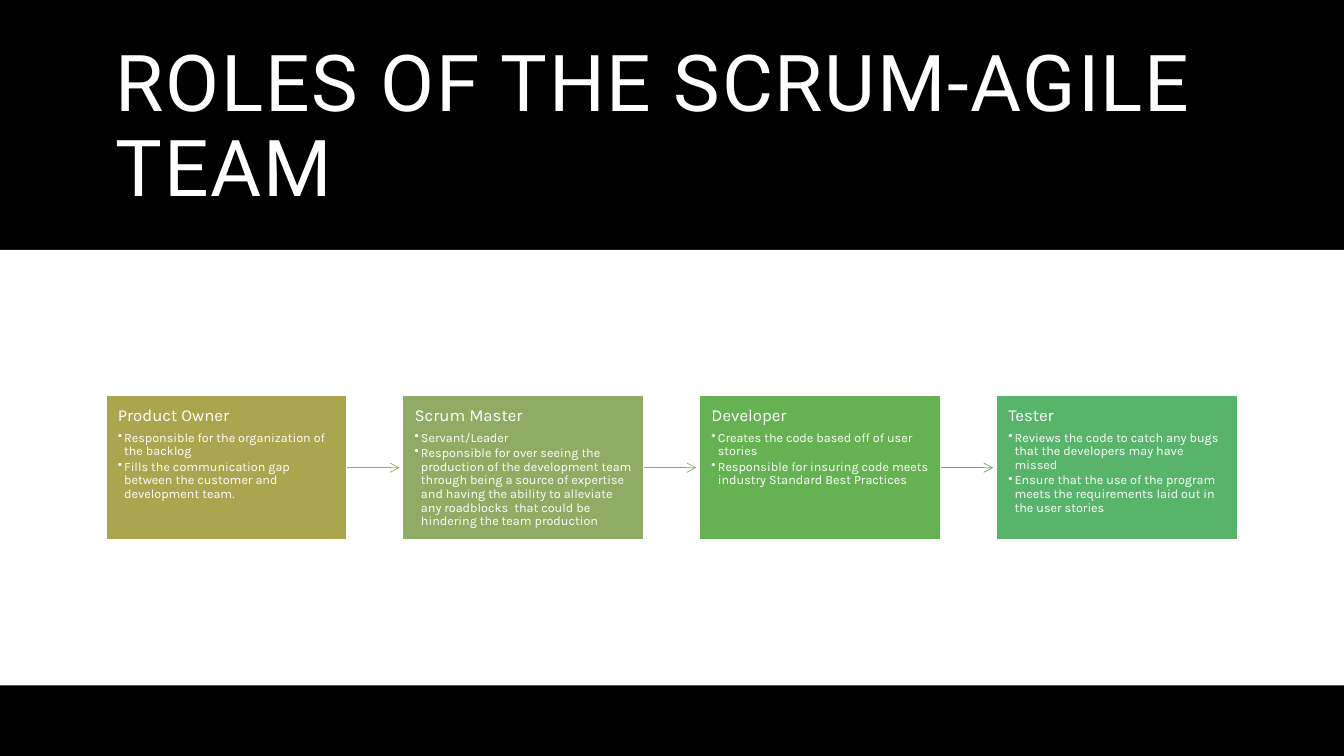
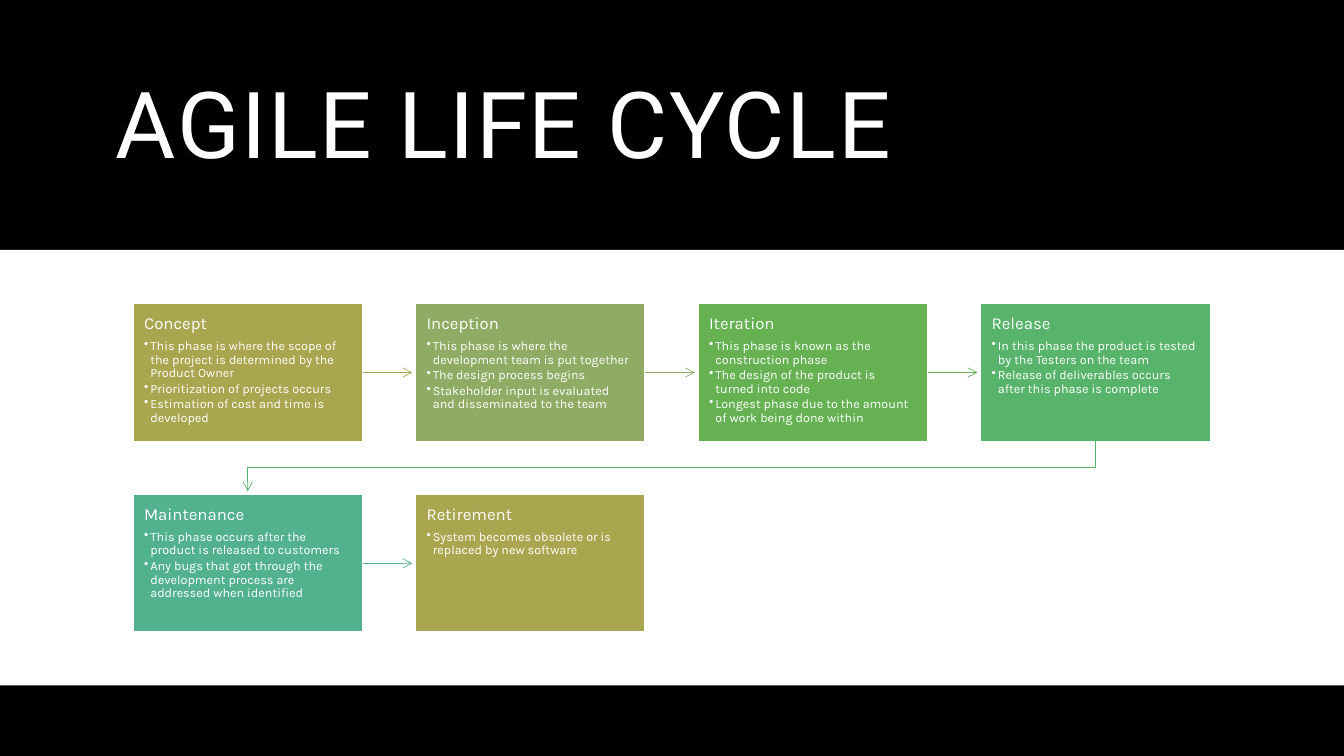
from pptx import Presentation
from pptx.dml.color import RGBColor
from pptx.enum.shapes import MSO_CONNECTOR, MSO_SHAPE
from pptx.enum.text import MSO_ANCHOR, PP_ALIGN
from pptx.oxml.ns import qn
from pptx.oxml.xmlchemy import OxmlElement
from pptx.util import Cm, Pt

COLORS = {"black": "000000", "white": "FFFFFF", "olive": "A9A64F", "sage": "90AB63",
          "green": "66B253", "emerald": "58B46B", "teal": "53B28E"}
STEP_COLORS = ("olive", "sage", "green", "emerald", "teal")
TITLE_FONT, BODY_FONT = "Roboto", "Karla"
PER_ROW = 4
ARROW_GAP = Cm(0.08)

SLIDES = [
    {
        "title": "ROLES OF THE SCRUM-AGILE TEAM",
        "title_size": 56,
        "origin": (2.67, 9.96), "box": (6.08, 3.65), "pitch": (7.48, 0), "side_inset": 0.3,
        "steps": [
            ("Product Owner", [
                "Responsible for the organization of the backlog",
                "Fills the communication gap between the customer and development team."]),
            ("Scrum Master", [
                "Servant/Leader",
                "Responsible for over seeing the production of the development team through "
                "being a source of expertise and having the ability to alleviate any "
                "roadblocks  that could be hindering the team production"]),
            ("Developer", [
                "Creates the code based off of user stories",
                "Responsible for insuring code meets industry Standard Best Practices"]),
            ("Tester", [
                "Reviews the code to catch any bugs that the developers may have missed",
                "Ensure that the use of the program meets the requirements laid out in "
                "the user stories"]),
        ],
    },
    {
        "title": "AGILE LIFE CYCLE",
        "title_size": 66,
        "origin": (3.35, 7.65), "box": (5.79, 3.47), "pitch": (7.12, 4.81), "side_inset": 0.28,
        "steps": [
            ("Concept", [
                "This phase is where the scope of the project is determined by the Product Owner",
                "Prioritization of projects occurs",
                "Estimation of cost and time is developed"]),
            ("Inception", [
                "This phase is where the development team is put together",
                "The design process begins",
                "Stakeholder input is evaluated and disseminated to the team"]),
            ("Iteration", [
                "This phase is known as the construction phase",
                "The design of the product is turned into code",
                "Longest phase due to the amount of work being done within"]),
            ("Release", [
                "In this phase the product is tested by the Testers on the team",
                "Release of deliverables occurs after this phase is complete"]),
            ("Maintenance", [
                "This phase occurs after the product is released to customers",
                "Any bugs that got through the development process are addressed when identified"]),
            ("Retirement", [
                "System becomes obsolete or is replaced by new software"]),
        ],
    },
]


def rgb(name):
    return RGBColor.from_string(COLORS[name])


def add_rectangle(slide, left, top, width, height, color):
    rectangle = slide.shapes.add_shape(MSO_SHAPE.RECTANGLE, left, top, width, height)
    rectangle.shadow.inherit = False
    rectangle.fill.solid()
    rectangle.fill.fore_color.rgb = rgb(color)
    rectangle.line.color.rgb = rgb("white")
    rectangle.line.width = Pt(1)
    return rectangle


def style_paragraph(paragraph, font_name, size, space_after=0):
    paragraph.alignment = PP_ALIGN.LEFT
    paragraph.line_spacing = 0.9
    paragraph.space_after = Pt(space_after)
    paragraph.font.name = font_name
    paragraph.font.size = Pt(size)
    paragraph.font.color.rgb = rgb("white")


def add_bullet(paragraph):
    properties = paragraph._p.get_or_add_pPr()
    properties.set("marL", str(Cm(0.16)))
    properties.set("indent", str(-Cm(0.16)))
    bullet = OxmlElement("a:buChar")
    bullet.set("char", "•")
    properties.insert_element_before(bullet, "a:tabLst", "a:defRPr", "a:extLst")


def add_frame(slide, title, size):
    """Add what every slide shares: the white panel and the title above it."""
    panel = add_rectangle(slide, 0, Cm(6.3), Cm(33.87), Cm(10.97), "white")
    panel.line.fill.background()
    heading = slide.shapes.add_textbox(Cm(2.67), Cm(0.89), Cm(28.52), Cm(4.72)).text_frame
    heading.word_wrap = True
    heading.vertical_anchor = MSO_ANCHOR.MIDDLE
    paragraph = heading.paragraphs[0]
    paragraph.text = title
    style_paragraph(paragraph, TITLE_FONT, size)
    paragraph.runs[0].font._element.set("spc", "120")


def add_step(slide, heading, points, bounds, color, side_inset):
    step = add_rectangle(slide, *bounds, color)
    frame = step.text_frame
    frame.word_wrap = True
    frame.vertical_anchor = MSO_ANCHOR.TOP
    frame.margin_left = frame.margin_right = Cm(side_inset)
    frame.margin_top = frame.margin_bottom = Cm(0.3)
    frame.text = heading
    style_paragraph(frame.paragraphs[0], BODY_FONT, 12, 4.2)
    for point in points:
        paragraph = frame.add_paragraph()
        paragraph.text = point
        style_paragraph(paragraph, BODY_FONT, 9, 1.35)
        add_bullet(paragraph)
    return step


def style_arrow(arrow, color):
    arrow.line.color.rgb = rgb(color)
    arrow.line.width = Pt(0.5)
    head = OxmlElement("a:tailEnd")
    head.set("type", "arrow")
    properties = arrow._element.spPr
    properties.find(qn("a:ln")).append(head)
    if properties.find(qn("a:effectLst")) is None:
        properties.append(OxmlElement("a:effectLst"))


def add_arrow(slide, source, target, color):
    """Point from one step to the next, bending when the next starts a new row."""
    if source.top == target.top:
        y = source.top + source.height // 2
        arrow = slide.shapes.add_connector(
            MSO_CONNECTOR.STRAIGHT, source.left + source.width, y, target.left - ARROW_GAP, y)
        arrow.begin_connect(source, 3)
    else:
        start_x, end_x = (step.left + step.width // 2 for step in (source, target))
        bottom = source.top + source.height
        middle = (bottom + target.top) // 2
        outline = slide.shapes.build_freeform(start_x, bottom)
        outline.add_line_segments(
            [(start_x, middle), (end_x, middle), (end_x, target.top - ARROW_GAP)], close=False)
        arrow = outline.convert_to_shape()
        arrow.fill.background()
        arrow.shadow.inherit = False
    style_arrow(arrow, color)


def add_process(slide, content):
    left, top = content["origin"]
    width, height = content["box"]
    pitch_x, pitch_y = content["pitch"]
    previous = previous_color = None
    for index, (heading, points) in enumerate(content["steps"]):
        row, column = divmod(index, PER_ROW)
        bounds = (Cm(left + column * pitch_x), Cm(top + row * pitch_y), Cm(width), Cm(height))
        color = STEP_COLORS[index % len(STEP_COLORS)]
        step = add_step(slide, heading, points, bounds, color, content["side_inset"])
        if previous is not None:
            add_arrow(slide, previous, step, previous_color)
        previous, previous_color = step, color


def main():
    deck = Presentation()
    deck.slide_width, deck.slide_height = Cm(33.87), Cm(19.05)
    background = deck.slide_master.background.fill
    background.solid()
    background.fore_color.rgb = rgb("black")
    for content in SLIDES:
        slide = deck.slides.add_slide(deck.slide_layouts[6])
        add_frame(slide, content["title"], content["title_size"])
        add_process(slide, content)
    deck.save("out.pptx")


if __name__ == "__main__":
    main()
